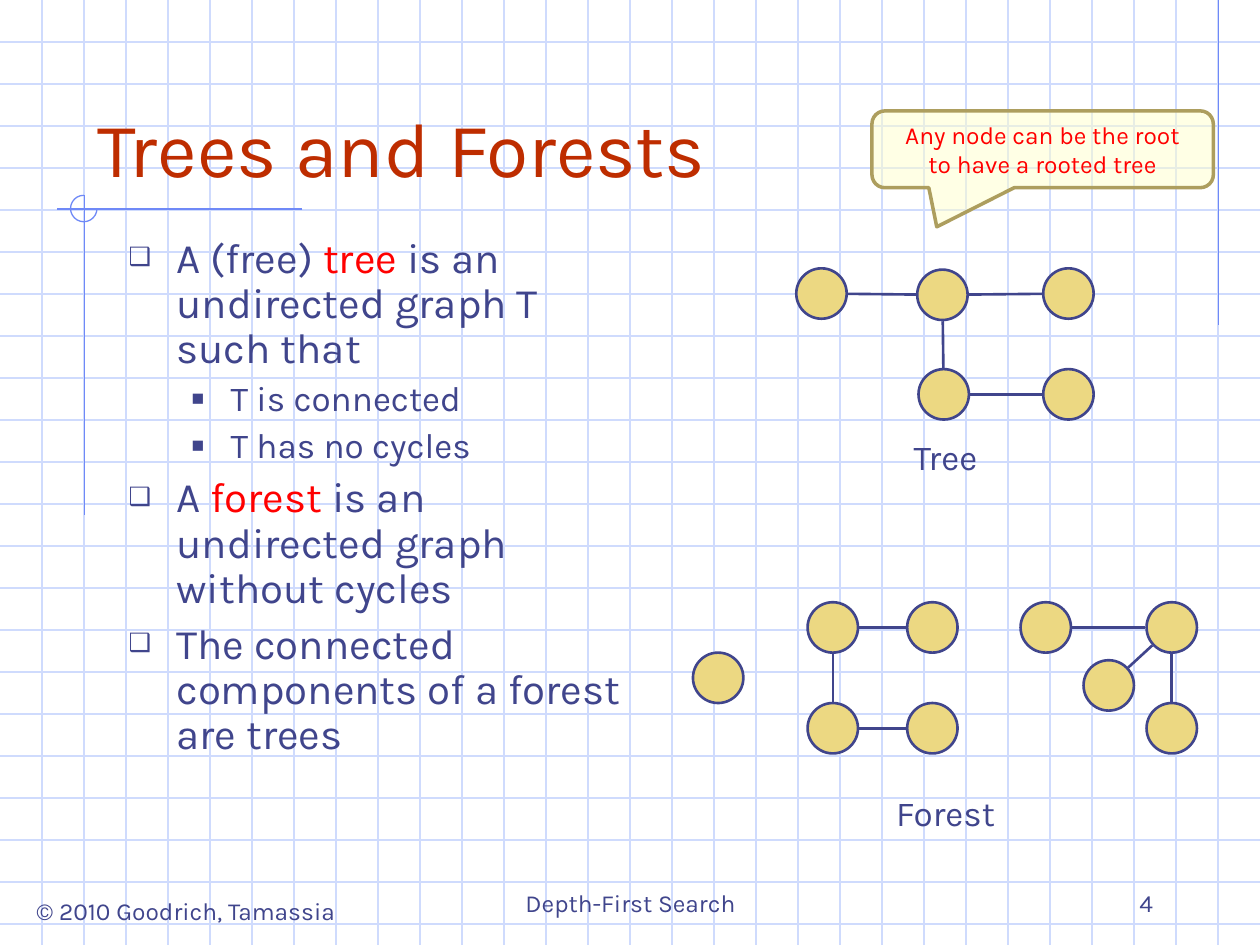
from math import hypot

from lxml.etree import SubElement
from pptx import Presentation
from pptx.dml.color import RGBColor
from pptx.enum.shapes import MSO_CONNECTOR, MSO_SHAPE
from pptx.enum.text import MSO_ANCHOR as Anchor, MSO_AUTO_SIZE, PP_ALIGN as Align
from pptx.oxml.ns import qn
from pptx.util import Inches, Pt

FONT = "Karla"
INDIGO = RGBColor(0x40, 0x45, 0x8C)
RUST = RGBColor(0xBE, 0x2D, 0x00)
RED = RGBColor(0xFF, 0x00, 0x00)
GRID = RGBColor(0xCF, 0xDB, 0xFD)
ACCENT = RGBColor(0x6F, 0x89, 0xF7)
SAND = RGBColor(0xEC, 0xD8, 0x82)
CREAM = RGBColor(0xFF, 0xFF, 0xCC)
OLIVE = RGBColor(0xAD, 0x9E, 0x5E)

WIDTH, HEIGHT = 10, 7.5
GRID_STEP = 1 / 3
NODE_SIZE = 0.4
EDGE_GAP = 0.01

TITLE = "Trees and Forests"
# Level, then runs of text with their colours
BULLETS = [
    (0, [("A (free) ", INDIGO), ("tree", RED),
         (" is an undirected graph T such that", INDIGO)]),
    (1, [("T is connected", INDIGO)]),
    (1, [("T has no cycles", INDIGO)]),
    (0, [("A ", INDIGO), ("forest", RED),
         (" is an undirected graph without cycles", INDIGO)]),
    (0, [("The connected components of a forest are trees", INDIGO)]),
]
# Per level: character, left margin, hanging indent, size, space before
BULLET_STYLES = [("❑", 0.38, 0.38, 24, 6), ("■", 0.81, 0.31, 20, 5)]

CALLOUT = ["Any node can be the root", "to have a rooted tree"]
# Text, box, size, alignment, anchor, wrap
LABELS = [
    ("© 2010 Goodrich, Tamassia", (0.12, 7.06, 2.71, 0.34), 14, Align.CENTER, Anchor.TOP, False),
    ("Depth-First Search", (3.42, 6.83, 3.17, 0.5), 14, Align.CENTER, Anchor.BOTTOM, True),
    ("4", (7.17, 6.83, 2.08, 0.5), 14, Align.RIGHT, Anchor.BOTTOM, True),
    ("Tree", (5.94, 3.41, 3.13, 0.44), 20, Align.CENTER, Anchor.TOP, True),
    ("Forest", (5.51, 6.23, 3.99, 0.44), 20, Align.CENTER, Anchor.TOP, True),
]

# Node centres and the edges between them
GRAPHS = {
    "tree": (
        {"a": (6.52, 2.33), "b": (7.48, 2.34), "c": (8.48, 2.33),
         "d": (7.49, 3.13), "e": (8.48, 3.13)},
        ["ab", "bc", "bd", "de"],
    ),
    "forest": (
        {"a": (5.7, 5.38),
         "b": (6.61, 4.98), "c": (7.4, 4.98), "d": (6.61, 5.78), "e": (7.4, 5.78),
         "f": (8.3, 4.98), "g": (9.3, 4.98), "h": (9.3, 5.78), "i": (8.8, 5.44)},
        ["bc", "bd", "de", "fg", "gh", "gi"],
    ),
}


def inches(values):
    return [Inches(value) for value in values]


def add_line(shapes, start, end, color, width=0.75):
    line = shapes.add_connector(MSO_CONNECTOR.STRAIGHT, *inches((*start, *end)))
    line.line.color.rgb = color
    line.line.width = Pt(width)
    SubElement(line._element.spPr, qn("a:effectLst"))


def add_shape(shapes, kind, box, line, width, fill=None):
    shape = shapes.add_shape(kind, *inches(box))
    shape.shadow.inherit = False
    if fill is None:
        shape.fill.background()
    else:
        shape.fill.solid()
        shape.fill.fore_color.rgb = fill
    shape.line.color.rgb = line
    shape.line.width = Pt(width)
    return shape


def add_run(paragraph, text, size, color=INDIGO):
    run = paragraph.add_run()
    run.text = text
    run.font.name = FONT
    run.font.size = Pt(size)
    run.font.color.rgb = color


def write(shape, lines, size, color=INDIGO, align=Align.LEFT, anchor=Anchor.TOP, wrap=True):
    frame = shape.text_frame
    frame.word_wrap = wrap
    frame.auto_size = MSO_AUTO_SIZE.NONE
    frame.vertical_anchor = anchor
    for index, text in enumerate(lines):
        paragraph = frame.add_paragraph() if index else frame.paragraphs[0]
        paragraph.alignment = align
        add_run(paragraph, text, size, color)


def place(shape, box):
    shape.left, shape.top, shape.width, shape.height = inches(box)


def set_bullet(paragraph, character, margin, hanging):
    properties = paragraph._p.get_or_add_pPr()
    properties.set("marL", str(Inches(margin)))
    properties.set("indent", str(-Inches(hanging)))
    color = SubElement(properties, qn("a:buClr"))
    SubElement(color, qn("a:srgbClr"), val=str(INDIGO))
    SubElement(properties, qn("a:buSzPct"), val="60000")
    SubElement(properties, qn("a:buChar"), char=character)


def add_background(shapes):
    group = shapes.add_group_shape().shapes
    for row in range(1, int(HEIGHT / GRID_STEP) + 1):
        add_line(group, (0, row * GRID_STEP), (WIDTH, row * GRID_STEP), GRID)
    for column in range(1, int(WIDTH / GRID_STEP)):
        add_line(group, (column * GRID_STEP, 0), (column * GRID_STEP, HEIGHT), GRID)
    add_line(group, (9.67, 0), (9.67, 2.58), ACCENT)
    add_line(group, (2.4, 1.66), (0.45, 1.66), ACCENT)
    add_line(group, (0.67, 1.55), (0.67, 4.09), ACCENT)
    arc = add_shape(group, MSO_SHAPE.ARC, (0.56, 1.55, 0.21, 0.21), ACCENT, 0.75)
    # Three quarters of a circle, from the right clockwise to the top
    arc.adjustments[0], arc.adjustments[1] = 0, 162


def add_bullets(body):
    frame = body.text_frame
    frame.word_wrap = True
    frame.auto_size = MSO_AUTO_SIZE.NONE
    for index, (level, runs) in enumerate(BULLETS):
        character, margin, hanging, size, space = BULLET_STYLES[level]
        paragraph = frame.add_paragraph() if index else frame.paragraphs[0]
        paragraph.level = level
        paragraph.line_spacing = 0.9
        paragraph.space_before = Pt(space)
        set_bullet(paragraph, character, margin, hanging)
        for text, color in runs:
            add_run(paragraph, text, size, color)


def add_graph(shapes, nodes, edges):
    """Draw the nodes, and edges that stop at the rims of their nodes."""
    group = shapes.add_group_shape().shapes
    radius = NODE_SIZE / 2
    for x, y in nodes.values():
        add_shape(group, MSO_SHAPE.OVAL, (x - radius, y - radius, NODE_SIZE, NODE_SIZE),
                  INDIGO, 1.5, SAND)
    for first, second in edges:
        (x1, y1), (x2, y2) = nodes[first], nodes[second]
        trim = (radius + EDGE_GAP) / hypot(x2 - x1, y2 - y1)
        dx, dy = (x2 - x1) * trim, (y2 - y1) * trim
        add_line(group, (x1 + dx, y1 + dy), (x2 - dx, y2 - dy), INDIGO, 1.5)


def add_callout(shapes):
    callout = add_shape(shapes, MSO_SHAPE.ROUNDED_RECTANGULAR_CALLOUT,
                        (6.92, 0.88, 2.71, 0.61), OLIVE, 2, CREAM)
    for index, value in enumerate((-0.31, 1.01, 0.17)):
        callout.adjustments[index] = value
    fill_color = callout._element.spPr.find(qn("a:solidFill"))[0]
    SubElement(fill_color, qn("a:alpha"), val="50000")
    write(callout, CALLOUT, 14, RED, Align.CENTER, Anchor.MIDDLE, wrap=False)


def main():
    presentation = Presentation()
    presentation.slide_width, presentation.slide_height = inches((WIDTH, HEIGHT))
    slide = presentation.slides.add_slide(presentation.slide_layouts[1])
    shapes = slide.shapes
    title, body = slide.placeholders
    add_background(shapes)
    # Bring the placeholders in front of the grid
    for placeholder in (title, body):
        shapes._spTree.append(placeholder._element)

    place(title, (0.67, 0.33, 8.5, 1.25))
    write(title, [TITLE], 44, RUST, anchor=Anchor.BOTTOM)
    place(body, (0.92, 1.83, 4.25, 4.92))
    add_bullets(body)
    for text, box, size, align, anchor, wrap in LABELS:
        write(shapes.add_textbox(*inches(box)), [text], size,
              align=align, anchor=anchor, wrap=wrap)
    for nodes, edges in GRAPHS.values():
        add_graph(shapes, nodes, edges)
    add_callout(shapes)
    presentation.save("out.pptx")


if __name__ == "__main__":
    main()
